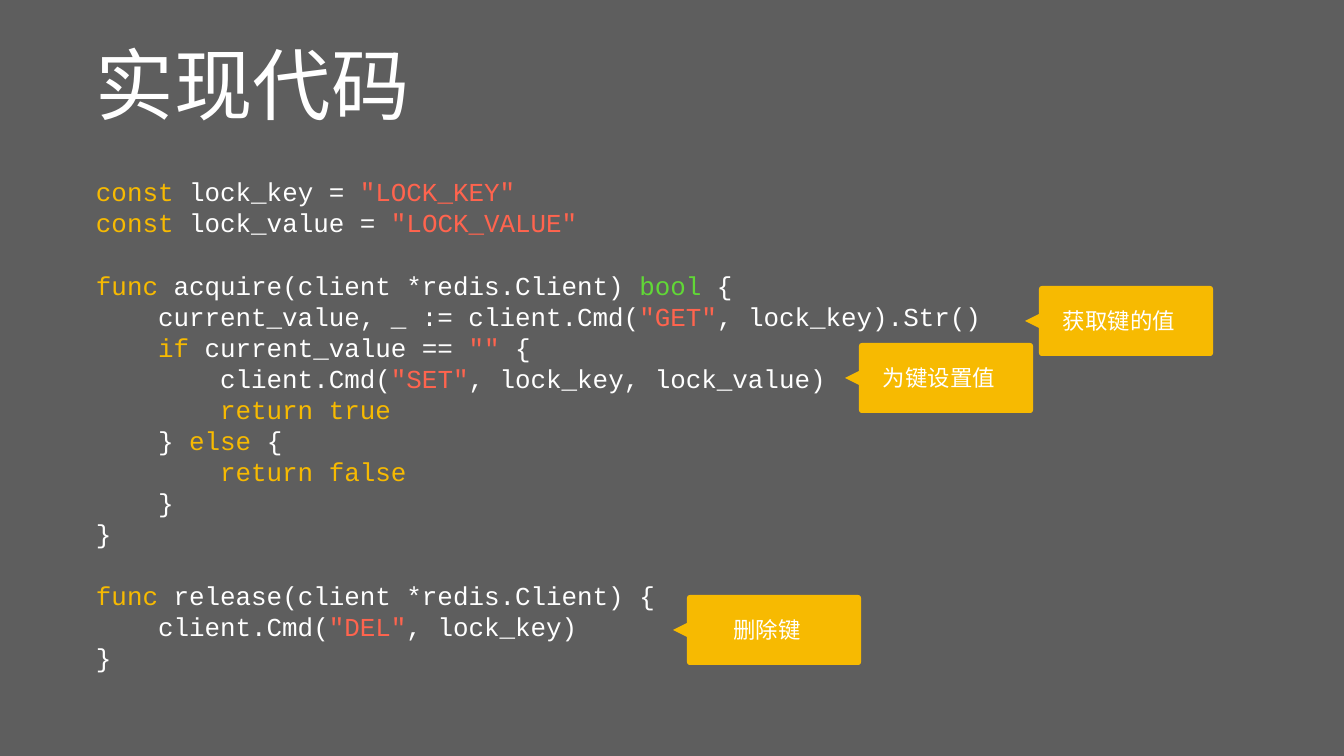
"""Build the lock code slide."""
from dataclasses import dataclass
from math import cos, pi, sin

from pptx import Presentation
from pptx.dml.color import RGBColor
from pptx.enum.text import MSO_ANCHOR, MSO_AUTO_SIZE, PP_ALIGN
from pptx.util import Pt

LEFT, CENTER = PP_ALIGN.LEFT, PP_ALIGN.CENTER
TOP, MIDDLE = MSO_ANCHOR.TOP, MSO_ANCHOR.MIDDLE
FIXED = MSO_AUTO_SIZE.NONE
SCALE = 914400 / 50.4
WIDE, HIGH = 1344, 756


@dataclass(frozen=True)
class Theme:
    """Colours, fonts and type sizes."""
    back: str = "5E5E5E"
    plain: str = "FFFFFF"
    word: str = "F7BA01"
    quote: str = "FF644E"
    kind: str = "61D836"
    sans: str = "Roboto"
    mono: str = "Courier New"
    head: int = 112
    code: int = 37
    note: int = 32
    pitch: float = 44.4


THEME = Theme()
PLAIN, WORD, QUOTE, KIND = THEME.plain, THEME.word, THEME.quote, THEME.kind

BLOCKS = [
    [
        [("const ", WORD), ("lock_key = ", PLAIN), ('"LOCK_KEY"', QUOTE)],
        [("const ", WORD), ("lock_value = ", PLAIN), ('"LOCK_VALUE"', QUOTE)],
    ],
    [
        [("func ", WORD), ("acquire(client *redis.Client) ", PLAIN),
         ("bool ", KIND), ("{", PLAIN)],
        [("    current_value, _ := client.Cmd(", PLAIN), ('"GET"', QUOTE),
         (", lock_key).Str()", PLAIN)],
        [("    if ", WORD), ("current_value == ", PLAIN), ('"" ', QUOTE),
         ("{", PLAIN)],
        [("        client.Cmd(", PLAIN), ('"SET"', QUOTE),
         (", lock_key, lock_value)", PLAIN)],
        [("        return true", WORD)],
        [("    } ", PLAIN), ("else ", WORD), ("{", PLAIN)],
        [("        return false", WORD)],
        [("    }", PLAIN)],
        [("}", PLAIN)],
    ],
    [
        [("func ", WORD), ("release(client *redis.Client) {", PLAIN)],
        [("    client.Cmd(", PLAIN), ('"DEL"', QUOTE), (", lock_key)", PLAIN)],
        [("}", PLAIN)],
    ],
]

NOTES = [(1025, 286, "获取键的值"), (845, 343, "为键设置值"), (673, 595, "删除键")]


def px(size):
    """Turn px into EMU."""
    return round(size * SCALE)


class Board:
    """Hold the style and the current slide."""

    def __init__(self, deck, theme):
        """Add a title-only slide with a plain back."""
        self.theme = theme
        self.slide = deck.slides.add_slide(deck.slide_layouts[5])
        fill = self.slide.background.fill
        fill.solid()
        fill.fore_color.rgb = RGBColor.from_string(theme.back)

    def frame(self, shape, inset, anchor):
        """Set up the text frame of a shape."""
        text = shape.text_frame
        text.word_wrap = True
        text.auto_size = FIXED
        text.vertical_anchor = anchor
        text.margin_left = text.margin_right = px(inset)
        text.margin_top = text.margin_bottom = px(inset)
        return text

    def run(self, para, text, font, size, tint):
        """Add one run of text."""
        run = para.add_run()
        run.text = text
        run.font.name = font
        run.font.size = Pt(size)
        run.font.color.rgb = RGBColor.from_string(tint)

    def title(self, x, y, w, h, text):
        """Place and fill the title."""
        shape = self.slide.shapes.title
        shape.left, shape.top, shape.width, shape.height = map(px, (x, y, w, h))
        para = self.frame(shape, 3, MIDDLE).paragraphs[0]
        para.alignment = LEFT
        self.run(para, text, self.theme.sans, self.theme.head, self.theme.plain)

    def code(self, x, y, w, h, blocks):
        """Add code blocks set one line apart."""
        look = self.theme
        box = self.slide.shapes.add_textbox(*map(px, (x, y, w, h)))
        text = self.frame(box, 3, TOP)
        para = None
        for block in blocks:
            for row, line in enumerate(block):
                first = para is None
                para = text.paragraphs[0] if first else text.add_paragraph()
                para.line_spacing = Pt(look.pitch)
                if row == 0 and not first:
                    para.space_before = Pt(look.pitch)
                for part, tint in line:
                    self.run(para, part, look.mono, look.code, tint)

    def note(self, x, y, text, w=188, h=70, tail=14, curve=3):
        """Add a rounded note with a tail on its left."""
        look = self.theme
        near, far, low, mid = x + tail, x + w, y + h, y + h / 2
        spots = [(near, mid + tail / 2), (x, mid), (near, mid - tail / 2)]
        hubs = [(near + curve, y + curve), (far - curve, y + curve),
                (far - curve, low - curve), (near + curve, low - curve)]
        for turn, (hub, level) in enumerate(hubs):
            for step in range(7):
                angle = pi + (turn + step / 6) * pi / 2
                spots.append((hub + curve * cos(angle),
                              level + curve * sin(angle)))
        points = [(px(a), px(b)) for a, b in spots]
        pen = self.slide.shapes.build_freeform(*points[0])
        pen.add_line_segments(points[1:], close=True)
        shape = pen.convert_to_shape()
        shape.shadow.inherit = False
        shape.fill.solid()
        shape.fill.fore_color.rgb = RGBColor.from_string(look.word)
        shape.line.fill.background()
        para = self.frame(shape, 0, MIDDLE).paragraphs[0]
        para.alignment = CENTER
        self.run(para, text, look.sans, look.note, look.plain)


def main():
    """Build and save the deck."""
    deck = Presentation()
    deck.slide_width, deck.slide_height = px(WIDE), px(HIGH)
    board = Board(deck, THEME)
    board.title(93, 20, 1158, 126, "实现代码")
    board.code(93, 173, 1014, 513, BLOCKS)
    for x, y, text in NOTES:
        board.note(x, y, text)
    deck.save("out.pptx")


if __name__ == "__main__":
    main()
